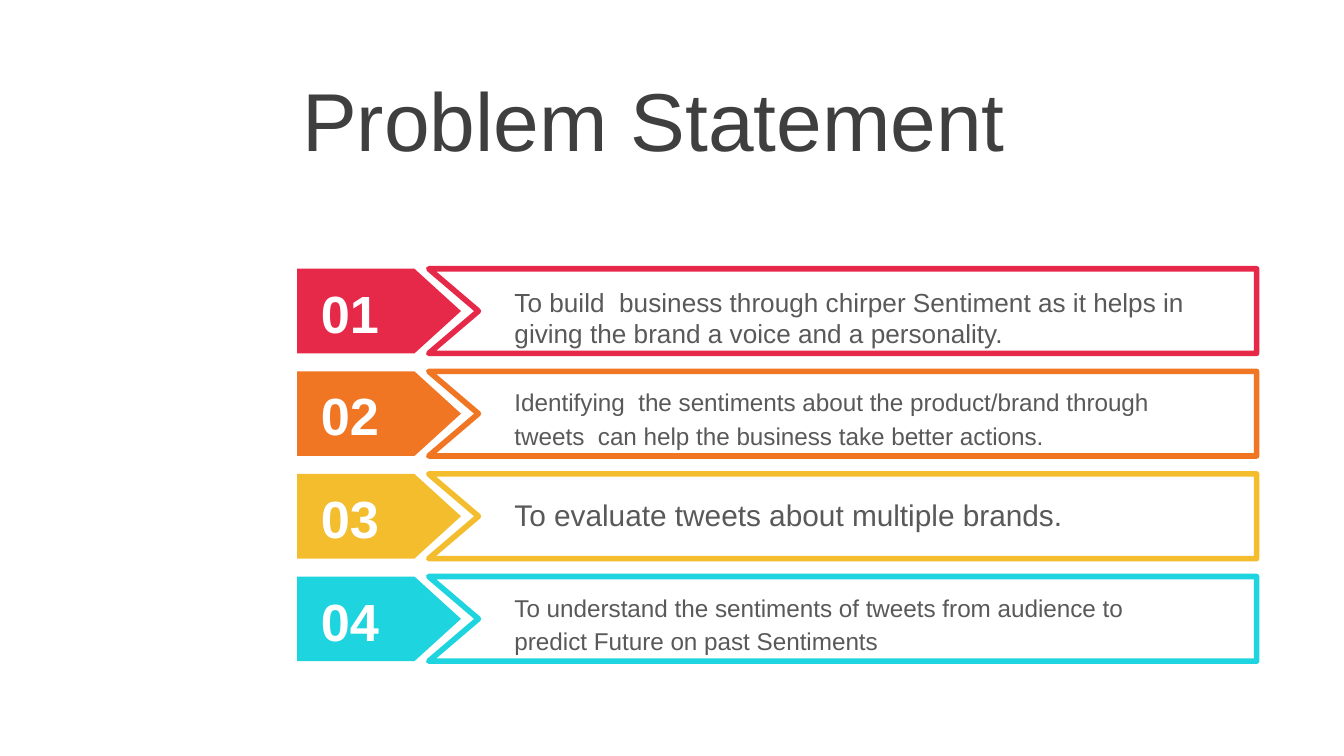
from dataclasses import dataclass

import lxml.etree
import pptx
import pptx.dml.color
import pptx.enum.shapes
import pptx.enum.text
import pptx.oxml.ns
import pptx.shapes.autoshape
import pptx.slide
import pptx.util

Inches = pptx.util.Inches
Pt = pptx.util.Pt
MIDDLE = pptx.enum.text.MSO_ANCHOR.MIDDLE
TOP = pptx.enum.text.MSO_ANCHOR.TOP


@dataclass(frozen=True)
class Theme:
    font: str = "Arial"
    title_color: str = "3F3F3F"
    body_color: str = "595959"
    white: str = "FFFFFF"
    title_size: int = 44
    number_size: int = 28
    border_width: int = 3


@dataclass(frozen=True)
class Statement:
    number: str
    text: str
    color: str
    size: int
    text_offset: float
    line_spacing: float = 1.15
    space_after: int = 16


THEME = Theme()
SLIDE_WIDTH = 10
FIRST_TOP = 2.0
LAST_TOP = 4.29
ROW_HEIGHT = 0.63
TAG_LEFT, TAG_WIDTH = 2.21, 1.22
FRAME_LEFT, FRAME_RIGHT, NOTCH = 3.19, 9.35, 3.56

STATEMENTS = [
    Statement(
        "01",
        "To build  business through chirper Sentiment as it helps in "
        "giving the brand a voice and a personality.",
        "E62949", 14, 0.08, line_spacing=1.0, space_after=0,
    ),
    Statement(
        "02",
        "Identifying  the sentiments about the product/brand through "
        "tweets  can help the business take better actions.",
        "F07624", 13, 0.04,
    ),
    Statement("03", "To evaluate tweets about multiple brands.", "F4BD2D", 16, 0.08),
    Statement(
        "04",
        "To understand the sentiments of tweets from audience to "
        "predict Future on past Sentiments",
        "1ED4DE", 13, 0.04,
    ),
]


def rgb(color: str) -> pptx.dml.color.RGBColor:
    return pptx.dml.color.RGBColor.from_string(color)


def fill_shape(shape: pptx.shapes.autoshape.Shape, color: str) -> None:
    shape.shadow.inherit = False
    shape.fill.solid()
    shape.fill.fore_color.rgb = rgb(color)


def add_text(
    slide: pptx.slide.Slide, text: str, left: float, top: float, width: float, height: float,
    *, size: int, color: str, bold: bool = False, anchor=TOP, inset: float = 0.05,
    line_spacing: float = 1.0, space_after: int = 0,
) -> None:
    box = slide.shapes.add_textbox(Inches(left), Inches(top), Inches(width), Inches(height))
    frame = box.text_frame
    frame.word_wrap = True
    frame.vertical_anchor = anchor
    frame.margin_left = frame.margin_right = Inches(0.1)
    frame.margin_top = frame.margin_bottom = Inches(inset)
    paragraph = frame.paragraphs[0]
    paragraph.line_spacing = line_spacing
    paragraph.space_after = Pt(space_after)
    run = paragraph.add_run()
    run.text = text
    run.font.name = THEME.font
    run.font.size = Pt(size)
    run.font.bold = bold
    run.font.color.rgb = rgb(color)


def add_tag(slide: pptx.slide.Slide, top: float, color: str) -> None:
    tag = slide.shapes.add_shape(
        pptx.enum.shapes.MSO_SHAPE.PENTAGON,
        Inches(TAG_LEFT), Inches(top), Inches(TAG_WIDTH), Inches(ROW_HEIGHT),
    )
    tag.adjustments[0] = 0.55
    fill_shape(tag, color)
    tag.line.fill.background()


def add_frame(slide: pptx.slide.Slide, top: float, color: str) -> None:
    bottom = top + ROW_HEIGHT
    corners = [
        (FRAME_RIGHT, top), (FRAME_RIGHT, bottom), (FRAME_LEFT, bottom),
        (NOTCH, top + ROW_HEIGHT / 2),
    ]
    builder = slide.shapes.build_freeform(Inches(FRAME_LEFT), Inches(top))
    builder.add_line_segments([(Inches(x), Inches(y)) for x, y in corners], close=True)
    frame = builder.convert_to_shape()
    fill_shape(frame, THEME.white)
    frame.line.color.rgb = rgb(color)
    frame.line.width = Pt(THEME.border_width)
    outline = frame.line.fill._xPr
    lxml.etree.SubElement(outline, pptx.oxml.ns.qn("a:round"))


def add_statement(slide: pptx.slide.Slide, statement: Statement, top: float) -> None:
    add_tag(slide, top, statement.color)
    add_frame(slide, top, statement.color)
    add_text(
        slide, statement.number, 2.29, top + 0.09, 0.66, 0.47,
        size=THEME.number_size, color=THEME.white, bold=True, anchor=MIDDLE, inset=0,
    )
    add_text(
        slide, statement.text, 3.73, top + statement.text_offset, 5.3, 0.3,
        size=statement.size, color=THEME.body_color,
        line_spacing=statement.line_spacing, space_after=statement.space_after,
    )


def main() -> None:
    presentation = pptx.Presentation()
    presentation.slide_width = Inches(SLIDE_WIDTH)
    presentation.slide_height = Inches(SLIDE_WIDTH * 9 / 16)
    slide = presentation.slides.add_slide(presentation.slide_layouts[6])
    add_text(
        slide, "Problem Statement", 2.15, 0.4, 8.23, 0.97,
        size=THEME.title_size, color=THEME.title_color, anchor=MIDDLE,
    )
    pitch = (LAST_TOP - FIRST_TOP) / (len(STATEMENTS) - 1)
    for row, statement in enumerate(STATEMENTS):
        add_statement(slide, statement, FIRST_TOP + row * pitch)
    presentation.save("out.pptx")


if __name__ == "__main__":
    main()
